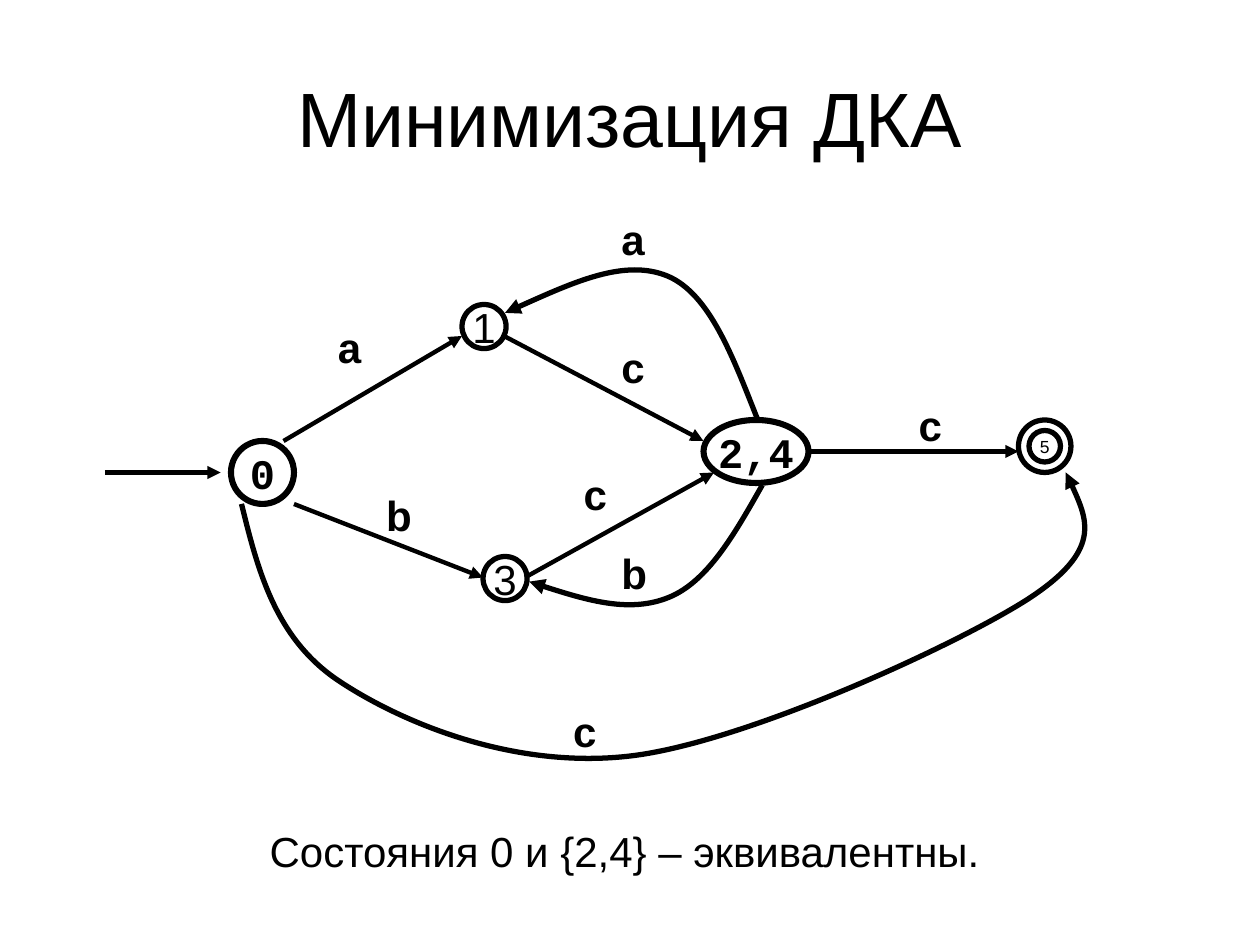
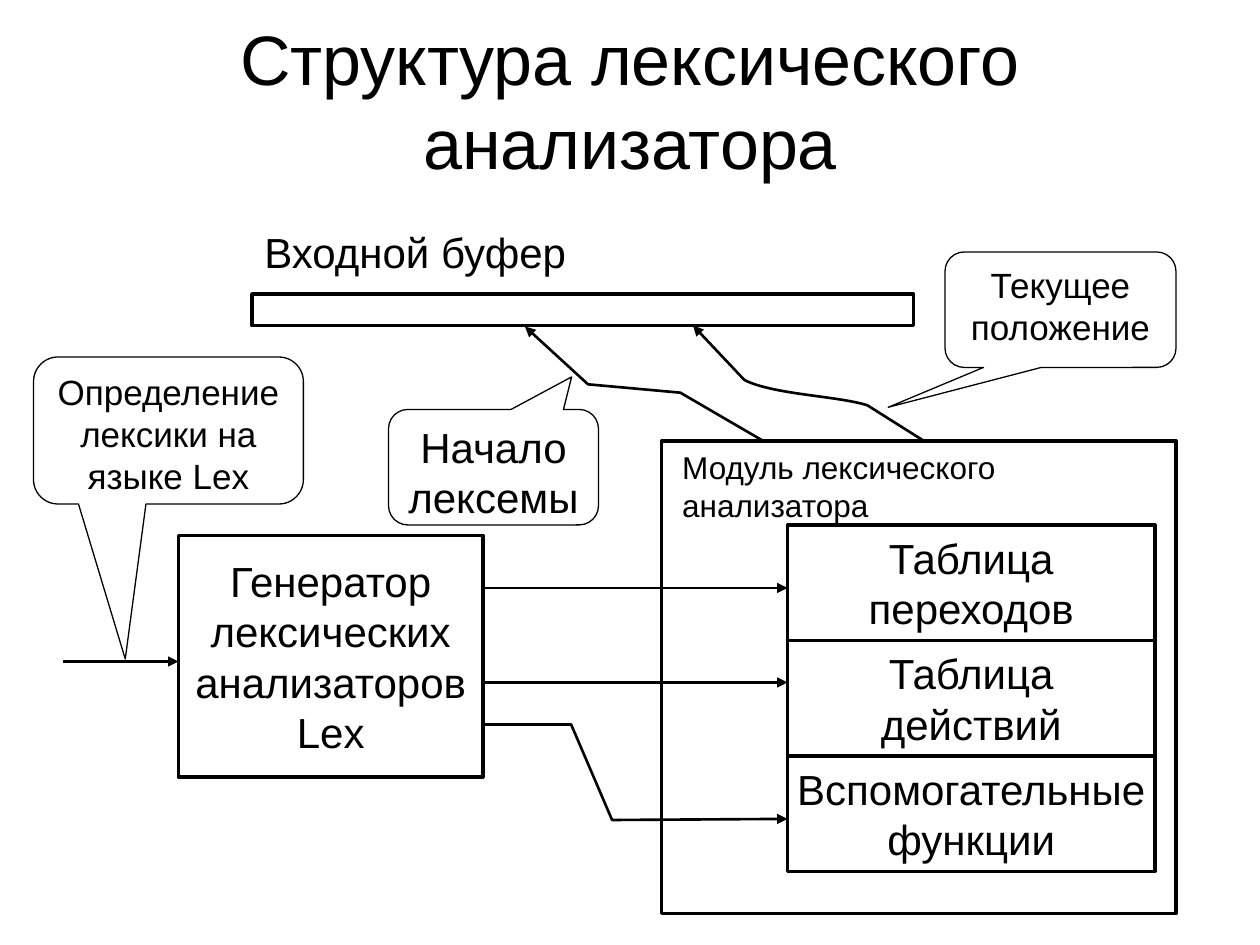
"""Build two slides: a minimised finite automaton and the structure of a lexical analyser."""
import dataclasses

import lxml.etree
import pptx
import pptx.dml.color
import pptx.enum.shapes
import pptx.enum.text
import pptx.oxml.ns
import pptx.util


@dataclasses.dataclass(frozen=True)
class Theme:
    ink: pptx.dml.color.RGBColor = pptx.dml.color.RGBColor(0, 0, 0)
    font: str = "Arial"
    code_font: str = "Courier New"
    body: int = 24
    callout: int = 20
    caption: int = 18
    tiny: int = 10


theme = Theme()
qn = pptx.oxml.ns.qn
SHAPE = pptx.enum.shapes.MSO_SHAPE
ALIGN = pptx.enum.text.PP_ALIGN
ANCHOR = pptx.enum.text.MSO_ANCHOR

presentation = pptx.Presentation()
presentation.slide_width = pptx.util.Inches(10)
presentation.slide_height = pptx.util.Inches(7.5)
COLUMNS = 120
CELL = presentation.slide_width / COLUMNS


def place(shape, box, text="", size=theme.body, width=None, font=theme.font,
          bold=False, align=ALIGN.CENTER, anchor=ANCHOR.MIDDLE, wrap=False):
    """Put a shape on the grid, outline it if a width is given, and write its text."""
    shape.left, shape.top, shape.width, shape.height = (round(cells * CELL) for cells in box)
    if width:
        shape.shadow.inherit = False
        shape.fill.background()
        shape.line.color.rgb = theme.ink
        shape.line.width = pptx.util.Pt(width)
    frame = shape.text_frame
    frame.auto_size = pptx.enum.text.MSO_AUTO_SIZE.NONE
    frame.word_wrap = wrap
    frame.vertical_anchor = anchor
    paragraph = frame.paragraphs[0]
    paragraph.alignment = align
    for index, line in enumerate(text.split("\n") if text else []):
        if index:
            paragraph.add_line_break()
        run = paragraph.add_run()
        run.text = line
        run.font.name = font
        run.font.size = pptx.util.Pt(size)
        run.font.bold = bold
        run.font.color.rgb = theme.ink


def draw_arrow(slide, width, start, *steps):
    """Draw an arrow; a step of one point is straight, a step of three is a cubic curve."""
    points = [(round(x * CELL), round(y * CELL)) for x, y in [start, *(p for step in steps for p in step)]]
    if len(points) == 2:
        arrow = slide.shapes.add_connector(
            pptx.enum.shapes.MSO_CONNECTOR.STRAIGHT, *points[0], *points[1])
    else:
        builder = slide.shapes.build_freeform(*points[0])
        builder.add_line_segments(points[1:], close=False)
        arrow = builder.convert_to_shape()
        arrow.fill.background()
        segments = iter(list(arrow.element.iter(qn("a:lnTo"))))
        for step in steps:
            group = [next(segments) for _ in step]
            if len(group) == 3:
                curve = lxml.etree.Element(qn("a:cubicBezTo"))
                group[0].addprevious(curve)
                for segment in group:
                    curve.append(segment[0])
                    segment.getparent().remove(segment)
    arrow.line.color.rgb = theme.ink
    arrow.line.width = pptx.util.Pt(width)
    properties = arrow.element.spPr
    lxml.etree.SubElement(properties.find(qn("a:ln")), qn("a:tailEnd"), type="triangle")
    lxml.etree.SubElement(properties, qn("a:effectLst"))


slides = []
for title, title_size, title_box in [
    ("Минимизация ДКА", 44, (6, 3.6, 108, 15)),
    ("Структура лексического анализатора", 40, (6, 0.8, 108, 17.3)),
]:
    slide = presentation.slides.add_slide(presentation.slide_layouts[5])
    place(slide.shapes.title, title_box, title, title_size, wrap=True)
    slides.append(slide)
automaton, analyser = slides

for state, box, size, width, font, bold in [
    ("0", (22, 42, 6, 6), theme.body, 3.5, theme.code_font, True),
    ("2,4", (67, 40, 10, 6), theme.body, 3.5, theme.code_font, True),
    ("5", (97, 40, 5, 5), theme.tiny, 3, theme.font, False),
    ("", (98, 41, 3, 3), theme.tiny, 3, theme.font, False),
    ("1", (44, 29, 4.2, 4.2), theme.body, 3, theme.font, False),
    ("3", (46, 53, 4.2, 4.2), theme.body, 3, theme.font, False),
]:
    oval = automaton.shapes.add_shape(SHAPE.OVAL, 0, 0, 0, 0)
    place(oval, box, state, size, width, font, bold)

for start, end in [
    ((10, 45), (21, 45)),
    ((27, 42), (44, 32)),
    ((28, 48), (46, 55)),
    ((50, 55), (68, 45)),
    ((48, 32), (67, 42)),
    ((77, 43), (97, 43)),
]:
    draw_arrow(automaton, 2.5, start, [end])

for start, *curves in [
    ((23, 48), [(24.6, 54.5), (26.3, 61), (32.5, 65)], [(38.6, 69), (49.2, 73.3), (60.1, 72)],
     [(71, 70.7), (91.2, 61.4), (98, 57)], [(105, 52.4), (103.3, 48.7), (101.5, 45)]),
    ((72.6, 46.2), [(70, 50.8), (67.4, 55.4), (63.7, 56.9)], [(60, 58.4), (55.2, 57), (50.4, 55.4)]),
    ((72.1, 39.8), [(69.8, 34), (67.6, 28), (63.6, 26.3)], [(59.5, 24.6), (53.9, 27.2), (48.1, 29.8)]),
]:
    draw_arrow(automaton, 3, start, *curves)

for symbol, column, row in [
    ("a", 31, 30), ("a", 58, 19.7), ("b", 35.6, 46), ("b", 58, 51.6),
    ("c", 54.4, 44), ("c", 58, 31.9), ("c", 86.3, 37.5), ("c", 53.4, 66.6),
]:
    label = automaton.shapes.add_textbox(0, 0, 0, 0)
    place(label, (column, row, 5, 6), symbol, bold=True, align=ALIGN.LEFT, anchor=ANCHOR.TOP, wrap=True)

conclusion = automaton.shapes.add_textbox(0, 0, 0, 0)
place(conclusion, (15, 78, 89, 6), "Состояния 0 и {2,4} – эквивалентны.", anchor=ANCHOR.TOP, wrap=True)

blocks = [
    ("", (24, 28, 63, 3)),
    ("", (63, 42, 49, 45)),
    ("Генератор\nлексических\nанализаторов\nLex", (17, 51, 29, 23)),
]
parts = ["Таблица\nпереходов", "Таблица\nдействий", "Вспомогательные\nфункции"]
blocks += [(part, (75, 50 + 11 * index, 35, 11)) for index, part in enumerate(parts)]
for text, box in blocks:
    rectangle = analyser.shapes.add_shape(SHAPE.RECTANGLE, 0, 0, 0, 0)
    place(rectangle, box, text, width=2)

for text, box, size in [
    ("Входной буфер", (24, 21, 42, 6), theme.body),
    ("Модуль лексического анализатора", (63.8, 42.1, 43, 8.4), theme.caption),
]:
    heading = analyser.shapes.add_textbox(0, 0, 0, 0)
    place(heading, box, text, size, align=ALIGN.LEFT, anchor=ANCHOR.TOP, wrap=True)

for start, *steps in [
    ((6, 63), [(17, 63)]),
    ((46, 56), [(75, 56)]),
    ((46, 65), [(75, 65)]),
    ((46, 69), [(54.4, 69)], [(58.3, 78.1)], [(75, 78)]),
    ((72.7, 42), [(64.8, 37.4)], [(56, 36.6)], [(50, 31.1)]),
    ((88, 42), [(82.6, 38.6)], [(79.7, 37.7), (73.7, 37.6), (70.9, 36.2)], [(66, 31)]),
]:
    draw_arrow(analyser, 1.5, start, *steps)

for text, box, size, tip in [
    ("Текущее положение", (90, 24, 22, 11), theme.callout, (-0.746, 0.845)),
    ("Начало лексемы", (37, 39, 20, 11), theme.body, (0.372, -0.782)),
    ("Определение лексики на языке Lex", (3.2, 34, 25.7, 14), theme.callout, (-0.16, 1.555)),
]:
    callout = analyser.shapes.add_shape(SHAPE.ROUNDED_RECTANGULAR_CALLOUT, 0, 0, 0, 0)
    callout.adjustments[0], callout.adjustments[1] = tip
    place(callout, box, text, size, 0.75, anchor=ANCHOR.TOP, wrap=True)

presentation.save("out.pptx")
